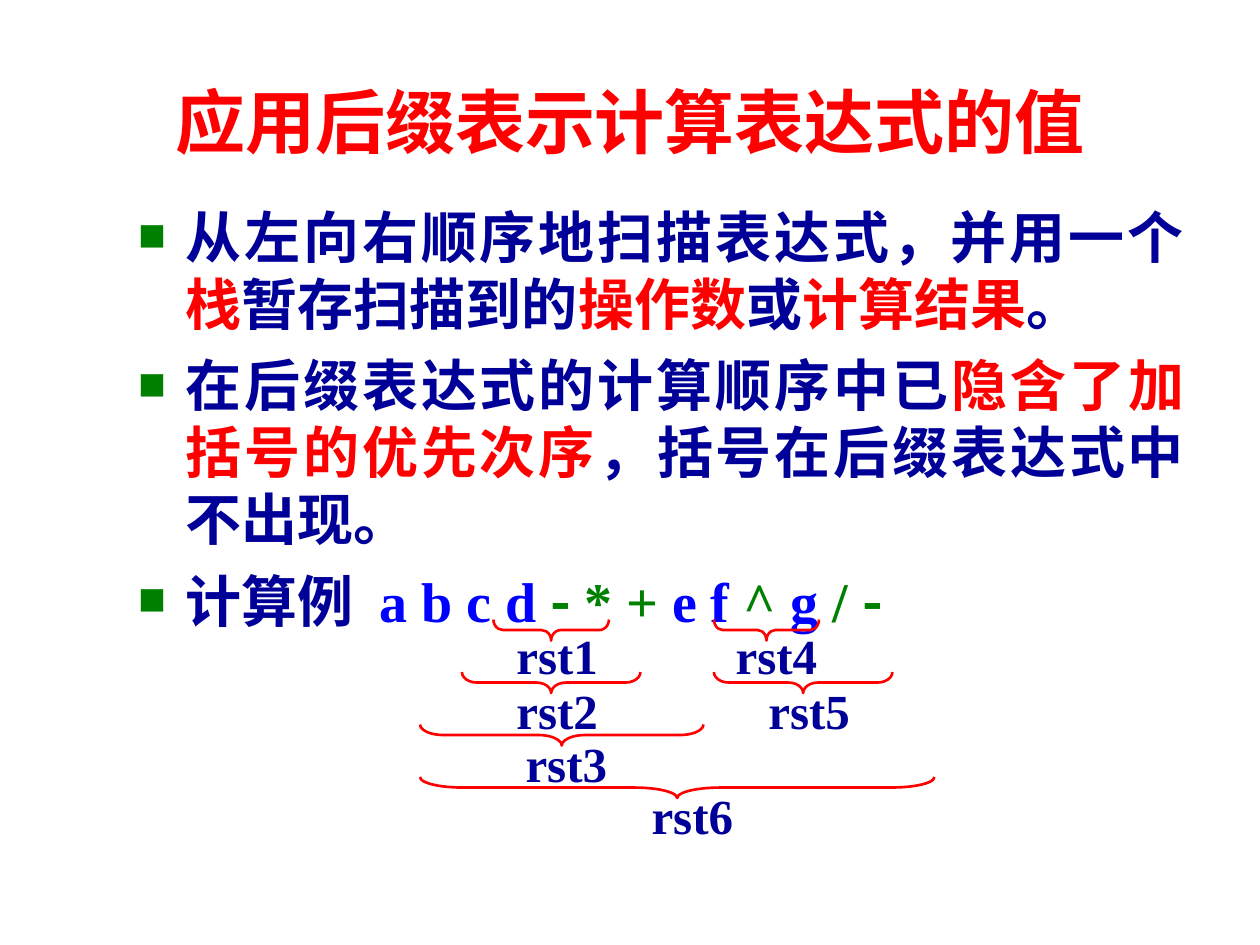
"""Build a slide on evaluating an expression from its postfix form."""
import lxml.etree
import pptx
import pptx.dml.color
import pptx.enum.shapes
import pptx.enum.text
import pptx.oxml.ns
import pptx.util

RED = pptx.dml.color.RGBColor(0xFF, 0x00, 0x00)
NAVY = pptx.dml.color.RGBColor(0x00, 0x00, 0x99)
BLUE = pptx.dml.color.RGBColor(0x00, 0x00, 0xFF)
GREEN = pptx.dml.color.RGBColor(0x00, 0x80, 0x00)
ARIAL, TIMES, CJK = "Arial", "Times New Roman", "Noto Sans CJK SC"
ALIGN = pptx.enum.text.PP_ALIGN
ANCHOR = pptx.enum.text.MSO_ANCHOR
BRACE_DEPTH = 16


def px(length):
    return pptx.util.Emu(length * 9525)


def add_xml(parent, tag, **attributes):
    return lxml.etree.SubElement(parent, pptx.oxml.ns.qn(tag), attributes)


def add_text(paragraph, text, size=32, font=CJK, color=NAVY):
    run = paragraph.add_run()
    run.text = text
    run.font.size = pptx.util.Pt(size)
    run.font.bold = True
    run.font.color.rgb = color
    run.font.name = font
    add_xml(run.font._element, "a:ea", typeface=CJK)


class PostfixSlide:
    def __init__(self, slide):
        self.slide = slide
        self.accent = RED
        self.indent = 36

    def frame(self, left, top, width, height, wrap=True, anchor=ANCHOR.TOP):
        box = self.slide.shapes.add_textbox(px(left), px(top), px(width), px(height))
        box.text_frame.word_wrap = wrap
        box.text_frame.vertical_anchor = anchor
        return box.text_frame

    def title(self, text):
        heading = self.frame(72, 48, 816, 88, anchor=ANCHOR.MIDDLE).paragraphs[0]
        heading.alignment = ALIGN.CENTER
        add_text(heading, text, size=40, font=ARIAL, color=self.accent)

    def bullets(self, points):
        body = self.frame(96, 144, 816, 344)
        body.margin_top = px(10)
        for index, runs in enumerate(points):
            point = body.add_paragraph() if index else body.paragraphs[0]
            point.alignment = ALIGN.JUSTIFY
            point.line_spacing = pptx.util.Pt(38.4)
            point.space_before = pptx.util.Pt(8 if index else 0)
            properties = point._p.get_or_add_pPr()
            properties.set("marL", str(px(self.indent)))
            properties.set("indent", str(-px(self.indent)))
            bullet_color = add_xml(properties, "a:buClr")
            add_xml(bullet_color, "a:srgbClr", val=str(GREEN))
            add_xml(properties, "a:buSzPct", val="50000")
            add_xml(properties, "a:buFont", typeface=CJK)
            add_xml(properties, "a:buChar", char="■")
            for text, color, font in runs:
                add_text(point, text, color=color, font=font)

    def brace(self, left, top, span):
        inset = (span - BRACE_DEPTH) // 2
        brace = self.slide.shapes.add_shape(
            pptx.enum.shapes.MSO_SHAPE.LEFT_BRACE,
            px(left + inset), px(top - inset), px(BRACE_DEPTH), px(span))
        brace.rotation = 270
        brace.adjustments[0] = span / BRACE_DEPTH / 12
        brace.shadow.inherit = False
        brace.fill.background()
        brace.line.color.rgb = self.accent
        brace.line.width = pptx.util.Pt(1.5)

    def label(self, text, left, top):
        result = self.frame(left, top, 81, 55, wrap=False).paragraphs[0]
        add_text(result, text, size=28, font=TIMES)


POINTS = [
    [("从左向右顺序地扫描表达式，并用一个", NAVY, CJK), ("栈", RED, CJK),
     ("暂存扫描到的", NAVY, CJK), ("操作数", RED, CJK), ("或", NAVY, CJK),
     ("计算结果", RED, CJK), ("。", NAVY, CJK)],
    [("在后缀表达式的计算顺序中已", NAVY, CJK),
     ("隐含了加括号的优先次序", RED, CJK),
     ("，括号在后缀表达式中不出现。", NAVY, CJK)],
    [("计算例  ", NAVY, CJK), ("a b c d ", BLUE, TIMES), ("- ", GREEN, CJK),
     ("* +", GREEN, TIMES), (" e f ", BLUE, TIMES), ("^", GREEN, TIMES),
     (" g ", BLUE, TIMES), ("/ ", GREEN, TIMES), ("-", GREEN, CJK)],
]

# Each result: row, brace left, brace span, label left.
RESULTS = [
    (0, 376, 88, 384),
    (1, 352, 136, 384),
    (2, 320, 216, 391),
    (0, 544, 80, 551),
    (1, 544, 136, 576),
    (3, 320, 392, 487),
]


def main():
    deck = pptx.Presentation()
    deck.slide_width, deck.slide_height = px(960), px(720)
    postfix = PostfixSlide(deck.slides.add_slide(deck.slide_layouts[6]))
    postfix.title("应用后缀表示计算表达式的值")
    postfix.bullets(POINTS)
    for number, (row, left, span, label_left) in enumerate(RESULTS, 1):
        top = 472 + 40 * row
        postfix.brace(left, top, span)
        postfix.label(f"rst{number}", label_left, top + (2 if row else 0))
    deck.save("out.pptx")


if __name__ == "__main__":
    main()
